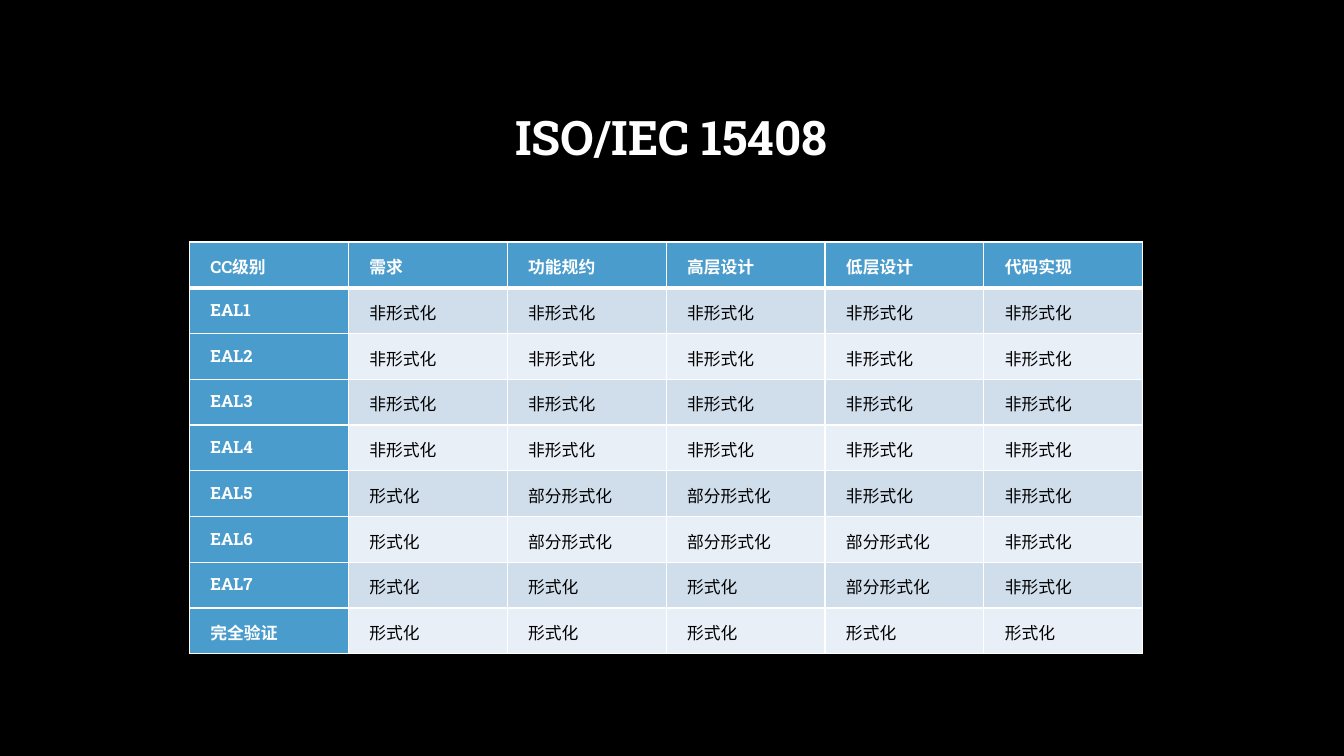
from lxml import etree
from pptx import Presentation
from pptx.dml.color import RGBColor
from pptx.enum import text
from pptx.oxml import ns
from pptx.util import Pt

WHITE = RGBColor(0xFF, 0xFF, 0xFF)
BLACK = RGBColor(0, 0, 0)
BLUE = RGBColor(0x4A, 0x9C, 0xCC)
BANDS = [RGBColor(0xE9, 0xEF, 0xF6), RGBColor(0xD0, 0xDE, 0xEC)]

NO, PART, FULL = "非形式化", "部分形式化", "形式化"
ROWS = [
    ["CC级别", "需求", "功能规约", "高层设计", "低层设计", "代码实现"],
    *[[f"EAL{level}"] + [NO] * 5 for level in range(1, 5)],
    ["EAL5", FULL, PART, PART, NO, NO],
    ["EAL6", FULL, PART, PART, PART, NO],
    ["EAL7", FULL, FULL, FULL, PART, NO],
    ["完全验证"] + [FULL] * 5,
]
COL_W, ROW_H = Pt(113.5), Pt(32.7)


def write(p, words, line_spacing, align, **font):
    p.line_spacing = line_spacing
    p.alignment = align
    r = p.add_run()
    r.text = words
    r.font.name = "Roboto Slab"
    r.font.color.rgb = font.pop("color")
    for name, value in font.items():
        setattr(r.font, name, value)


def add_border(cell, side, width):
    ln = etree.SubElement(cell._tc.get_or_add_tcPr(), ns.qn(f"a:ln{side}"), w=str(Pt(width)))
    fill = etree.SubElement(ln, ns.qn("a:solidFill"))
    etree.SubElement(fill, ns.qn("a:srgbClr"), val=str(WHITE))


prs = Presentation()
prs.slide_width, prs.slide_height = Pt(960), Pt(540)
slide = prs.slides.add_slide(prs.slide_layouts[6])
slide.background.fill.solid()
slide.background.fill.fore_color.rgb = BLACK

# Title
tf = slide.shapes.add_textbox(Pt(72), Pt(48), Pt(815), Pt(104.4)).text_frame
tf.word_wrap = True
tf.vertical_anchor = text.MSO_ANCHOR.MIDDLE
write(tf.paragraphs[0], "ISO/IEC 15408", 0.9, text.PP_ALIGN.CENTER,
      size=Pt(34), bold=True, color=WHITE)

# Assurance levels
table = slide.shapes.add_table(
    len(ROWS), len(ROWS[0]), Pt(135.3), Pt(172.8),
    COL_W * len(ROWS[0]), ROW_H * len(ROWS)).table
for column in table.columns:
    column.width = COL_W
for row in table.rows:
    row.height = ROW_H

margins = {"margin_left": Pt(5), "margin_right": Pt(5), "margin_top": 0, "margin_bottom": 0}
for i, row in enumerate(ROWS):
    for j, words in enumerate(row):
        cell = table.cell(i, j)
        heading = i == 0 or j == 0
        for name, value in margins.items():
            setattr(cell, name, value)
        widths = {"L": 1, "R": 1, "T": 3 if i == 1 else 1, "B": 3 if i == 0 else 1}
        for side, width in widths.items():
            add_border(cell, side, width)
        cell.fill.solid()
        cell.fill.fore_color.rgb = BLUE if heading else BANDS[i % 2]
        p = cell.text_frame.paragraphs[0]
        write(p, words, 1.5, text.PP_ALIGN.JUSTIFY, size=Pt(12), bold=heading,
              color=WHITE if heading else BLACK)
        p._p.get_or_add_pPr().set("indent", str(Pt(10)))

prs.save("out.pptx")
